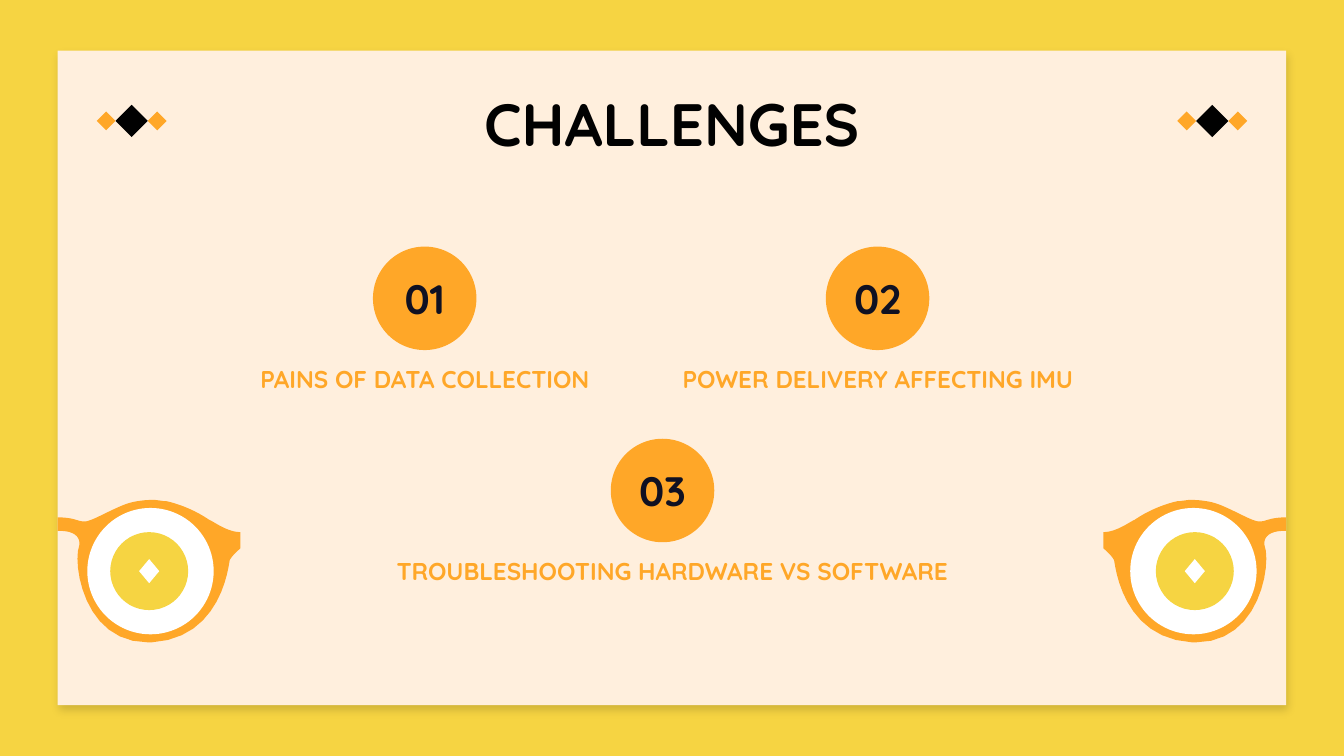
from lxml import etree
from pptx import Presentation
from pptx.dml.color import RGBColor
from pptx.enum.shapes import MSO_SHAPE
from pptx.enum.text import MSO_ANCHOR, PP_ALIGN
from pptx.oxml.ns import qn
from pptx.util import Inches, Pt

RECT = MSO_SHAPE.RECTANGLE
OVAL = MSO_SHAPE.OVAL
GEM = MSO_SHAPE.DIAMOND
MIDDLE = MSO_ANCHOR.MIDDLE
CENTER = PP_ALIGN.CENTER

WIDTH = 10
HEIGHT = WIDTH * 9 / 16
FONT = "Quicksand"
COLORS = {
    "yellow": "F6D442",
    "cream": "FFEFDD",
    "orange": "FFA728",
    "black": "010101",
    "navy": "101122",
    "white": "FFFFFF",
}

RIM_START = (1.14, 3.72)
RIM = [
    [(1.17, 3.72), (1.21, 3.73), (1.24, 3.73)],
    [(1.24, 3.73), (1.4, 3.76), (1.56, 3.87)],
    [(1.59, 3.88), (1.69, 3.96), (1.79, 3.96)],
    [(1.79, 4.08)],
    [(1.79, 4.08), (1.72, 4.14), (1.71, 4.17)],
    [(1.7, 4.21), (1.65, 4.75), (1.13, 4.78)],
    [(1.12, 4.78), (1.11, 4.78), (1.1, 4.78)],
    [(0.62, 4.78), (0.54, 4.19), (0.59, 4.06)],
    [(0.59, 4.06), (0.62, 3.95), (0.44, 3.95)],
    [(0.43, 3.95)],
    [(0.43, 3.85)],
    [(0.55, 3.85), (0.58, 3.88), (0.62, 3.88)],
    [(0.63, 3.88), (0.64, 3.88), (0.64, 3.88)],
    [(0.7, 3.87), (0.83, 3.79), (0.94, 3.75)],
    [(1, 3.73), (1.07, 3.72), (1.14, 3.72)],
]
ITEMS = [
    ("01", 3.16, 2.22, "PAINS OF DATA COLLECTION", 3.16, 2.8),
    ("02", 6.53, 2.22, "POWER DELIVERY AFFECTING IMU", 6.53, 3.41),
    ("03", 4.93, 3.65, "TROUBLESHOOTING HARDWARE VS SOFTWARE", 5, 4.97),
]


def trace(start, parts, steps=12):
    points = [start]
    for part in parts:
        if len(part) == 1:
            points += part
            continue
        curve = [points[-1], *part]
        for step in range(1, steps + 1):
            t = step / steps
            u = 1 - t
            weights = (u**3, 3 * u * u * t, 3 * u * t * t, t**3)
            points.append(tuple(
                sum(w * p[axis] for w, p in zip(weights, curve))
                for axis in (0, 1)
            ))
    return points


class Deck:
    def __init__(self):
        self.show = Presentation()
        self.show.slide_width = Inches(WIDTH)
        self.show.slide_height = Inches(HEIGHT)
        self.slide = self.show.slides.add_slide(self.show.slide_layouts[6])
        fill = self.slide.background.fill
        fill.solid()
        fill.fore_color.rgb = self.color("yellow")

    def color(self, name):
        return RGBColor.from_string(COLORS[name])

    def paint(self, shape, color):
        shape.shadow.inherit = False
        shape.fill.solid()
        shape.fill.fore_color.rgb = self.color(color)
        shape.line.fill.background()
        return shape

    def shape(self, kind, x, y, width, height, color):
        shape = self.slide.shapes.add_shape(
            kind, Inches(x - width / 2), Inches(y - height / 2),
            Inches(width), Inches(height))
        return self.paint(shape, color)

    def outline(self, points, color):
        spots = [(Inches(x), Inches(y)) for x, y in points]
        builder = self.slide.shapes.build_freeform(*spots[0], scale=1.0)
        builder.add_line_segments(spots[1:], close=True)
        return self.paint(builder.convert_to_shape(), color)

    def text(self, words, x, y, width, height, size, color):
        box = self.slide.shapes.add_textbox(
            Inches(x - width / 2), Inches(y - height / 2),
            Inches(width), Inches(height))
        frame = box.text_frame
        frame.word_wrap = True
        frame.vertical_anchor = MIDDLE
        frame.margin_left = frame.margin_right = Inches(0.1)
        frame.margin_top = frame.margin_bottom = Inches(0.1)
        line = frame.paragraphs[0]
        line.text = words
        line.alignment = CENTER
        line.font.name = FONT
        line.font.size = Pt(size)
        line.font.bold = True
        line.font.color.rgb = self.color(color)

    def card(self):
        card = self.shape(RECT, WIDTH / 2, HEIGHT / 2, 9.14, 4.87, "cream")
        effects = card._element.spPr.find(qn("a:effectLst"))
        shade = etree.SubElement(
            effects, qn("a:outerShdw"), blurRad=str(Pt(4.5)),
            dist=str(Pt(3)), dir=str(64 * 60000), algn="bl", rotWithShape="0")
        tint = etree.SubElement(shade, qn("a:srgbClr"), val="000000")
        etree.SubElement(tint, qn("a:alpha"), val="14000")

    def gems(self, x):
        self.shape(GEM, x, 0.9, 0.24, 0.24, "black")
        for side in (-1, 1):
            self.shape(GEM, x + side * 0.19, 0.9, 0.14, 0.14, "orange")

    def glasses(self, flip):
        def place(x):
            return WIDTH - x if flip else x

        rim = [(place(x), y) for x, y in trace(RIM_START, RIM)]
        self.outline(rim, "orange")
        self.shape(OVAL, place(1.12), 4.25, 0.94, 0.94, "white")
        self.shape(OVAL, place(1.11), 4.25, 0.58, 0.58, "yellow")
        self.shape(GEM, place(1.11), 4.25, 0.15, 0.18, "white")

    def item(self, number, x, y, label, middle, width):
        self.shape(OVAL, x, y, 0.77, 0.77, "orange")
        self.text(number, x, y, 0.84, 0.53, 22, "navy")
        self.text(label, middle, y + 0.6, width, 0.58, 13, "orange")


def main():
    deck = Deck()
    deck.card()
    deck.text("CHALLENGES", 5, 0.91, 8.43, 0.63, 32, "black")
    for x in (0.98, 9.02):
        deck.gems(x)
    for flip in (True, False):
        deck.glasses(flip)
    for item in ITEMS:
        deck.item(*item)
    deck.show.save("out.pptx")


if __name__ == "__main__":
    main()
